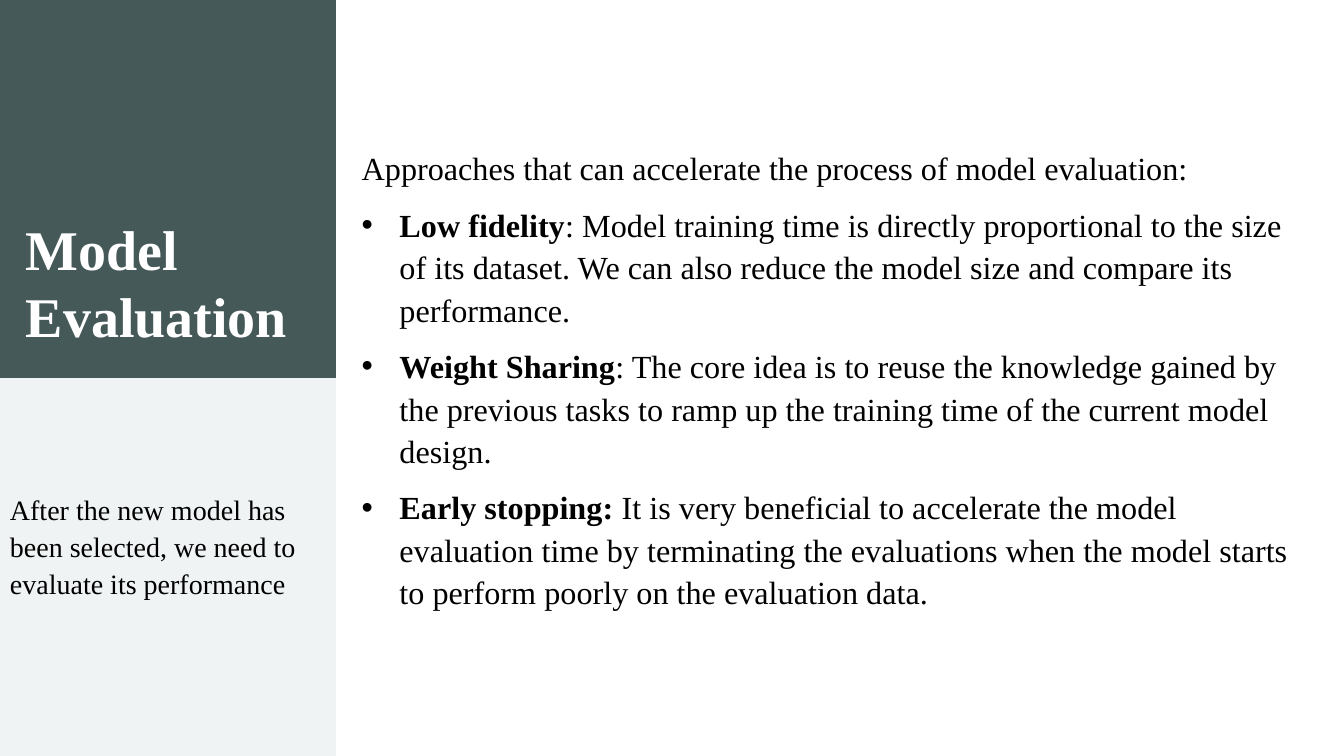
from lxml.etree import SubElement
from pptx import Presentation
from pptx.dml.color import RGBColor
from pptx.enum.shapes import MSO_SHAPE as Shape
from pptx.enum.text import MSO_ANCHOR as Anchor, MSO_AUTO_SIZE as AutoSize, PP_ALIGN as Align
from pptx.oxml.ns import qn
from pptx.util import Pt

PX = 9525  # EMU per px, 96 px to the inch
WIDTH, HEIGHT = 1280, 720
SIDEBAR = 320
INDENT = 36
DARK, PALE, WHITE, BLACK = "465959", "ECF0F0", "FFFFFF", "000000"

HEADING = "Model Evaluation"
NOTE = "After the new model has been selected, we need to evaluate its performance"
INTRO = "Approaches that can accelerate the process of model evaluation:"
APPROACHES = [
    ("Low fidelity", ": Model training time is directly proportional to the size of its dataset. "
     "We can also reduce the model size and compare its performance."),
    ("Weight Sharing", ": The core idea is to reuse the knowledge gained by the previous tasks "
     "to ramp up the training time of the current model design."),
    ("Early stopping:", " It is very beneficial to accelerate the model evaluation time by "
     "terminating the evaluations when the model starts to perform poorly on the evaluation data."),
]

FRAME = {"word_wrap": True, "auto_size": AutoSize.NONE}
PROSE = {"line_spacing": 1.1, "space_before": Pt(10), "alignment": Align.LEFT}
HEADLINE = {"line_spacing": 1.0, "space_before": Pt(0), "alignment": Align.LEFT}


def color(hex_value):
    return RGBColor.from_string(hex_value)


def emu(box):
    return [length * PX for length in box]


def apply(target, formats):
    for name, value in formats.items():
        setattr(target, name, value)


def add_run(paragraph, text, size, hex_value, bold=False):
    run = paragraph.add_run()
    run.text = text
    apply(run.font, {"name": "Times New Roman", "size": Pt(size), "bold": bold})
    run.font.color.rgb = color(hex_value)


def add_bullet(paragraph):
    properties = paragraph._p.get_or_add_pPr()
    properties.set("marL", str(INDENT * PX))
    properties.set("indent", str(-INDENT * PX))
    SubElement(properties, qn("a:buFont"), typeface="Arial")
    SubElement(properties, qn("a:buChar"), char="•")


def add_panel(slide, box, fill, opacity=100):
    panel = slide.shapes.add_shape(Shape.RECTANGLE, *emu(box))
    panel.shadow.inherit = False
    panel.line.fill.background()
    panel.fill.solid()
    panel.fill.fore_color.rgb = color(fill)
    if opacity < 100:
        tint = panel._element.spPr.find(".//" + qn("a:srgbClr"))
        SubElement(tint, qn("a:alpha"), val=str(opacity * 1000))


def add_prose_frame(slide, box):
    frame = slide.shapes.add_textbox(*emu(box)).text_frame
    apply(frame, FRAME | {"vertical_anchor": Anchor.MIDDLE})
    return frame


def add_heading(slide, box):
    left, top, width, height = box
    add_panel(slide, box, DARK)
    title = slide.shapes.title
    # Bring the title in front of its panel
    slide.shapes._spTree.append(title._element)
    title_box = emu((left + 15, top + 38, width - 43, height - 61))
    apply(title, dict(zip(("left", "top", "width", "height"), title_box)))
    apply(title.text_frame, FRAME | {"vertical_anchor": Anchor.BOTTOM})
    paragraph = title.text_frame.paragraphs[0]
    apply(paragraph, HEADLINE)
    add_run(paragraph, HEADING, 40, WHITE, bold=True)


def add_note(slide, box):
    left, top, width, height = box
    add_panel(slide, box, PALE)
    add_panel(slide, box, WHITE, opacity=20)
    paragraph = add_prose_frame(slide, (left, top + 15, width, height - 72)).paragraphs[0]
    apply(paragraph, PROSE)
    add_run(paragraph, NOTE, 20, BLACK)


def add_approaches(slide, box):
    frame = add_prose_frame(slide, box)
    intro = frame.paragraphs[0]
    apply(intro, PROSE)
    add_run(intro, INTRO, 23, BLACK)
    for approach, explanation in APPROACHES:
        paragraph = frame.add_paragraph()
        apply(paragraph, PROSE)
        add_bullet(paragraph)
        add_run(paragraph, approach, 23, BLACK, bold=True)
        add_run(paragraph, explanation, 23, BLACK)


def main():
    deck = Presentation()
    apply(deck, {"slide_width": WIDTH * PX, "slide_height": HEIGHT * PX})
    slide = deck.slides.add_slide(deck.slide_layouts[5])
    half = HEIGHT // 2

    # Sidebar: heading above, note below
    add_heading(slide, (0, 0, SIDEBAR, half))
    add_note(slide, (0, half, SIDEBAR, half))

    # Main text
    add_approaches(slide, (SIDEBAR + 15, 13, 929, 694))
    deck.save("out.pptx")


if __name__ == "__main__":
    main()
